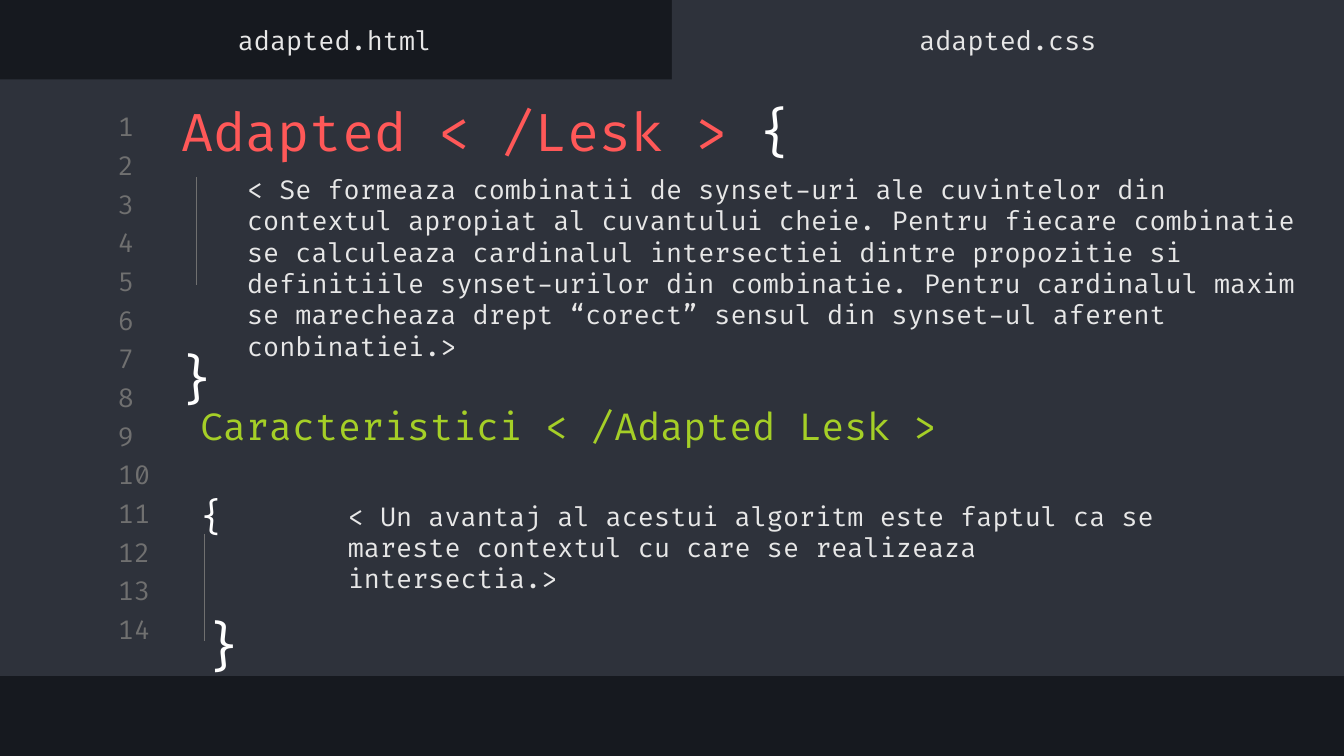
from dataclasses import dataclass

from lxml import etree
from pptx import Presentation
from pptx.dml.color import RGBColor
from pptx.enum.shapes import MSO_CONNECTOR, MSO_SHAPE
from pptx.enum.text import MSO_ANCHOR, MSO_AUTO_SIZE, PP_ALIGN
from pptx.oxml.ns import qn
from pptx.util import Inches, Pt

RECT, STRAIGHT = MSO_SHAPE.RECTANGLE, MSO_CONNECTOR.STRAIGHT
TOP, MIDDLE = MSO_ANCHOR.TOP, MSO_ANCHOR.MIDDLE
LEFT, CENTER = PP_ALIGN.LEFT, PP_ALIGN.CENTER
NO_AUTOFIT = MSO_AUTO_SIZE.NONE


@dataclass(frozen=True)
class Theme:
    font: str = "Fira Code"
    back: str = "16191F"
    panel: str = "2E323B"
    muted: str = "707070"
    text: str = "E7E7E7"
    white: str = "FFFFFF"
    red: str = "FF5858"
    green: str = "A5CF27"
    body: int = 14
    heading: int = 20
    title: int = 28


T = Theme()


def rgb(value):
    return RGBColor.from_string(value)


def write(sp, paragraphs, size=T.body, anchor=MIDDLE, align=LEFT, gap=0):
    """Fill a shape with paragraphs, each a list of (text, colour) runs."""
    tf = sp.text_frame
    tf.word_wrap = True
    tf.auto_size = NO_AUTOFIT
    tf.vertical_anchor = anchor
    tf.margin_left = tf.margin_right = tf.margin_top = tf.margin_bottom = Inches(0.1)
    for i, runs in enumerate(paragraphs):
        p = tf.add_paragraph() if i else tf.paragraphs[0]
        p.alignment = align
        p.space_before = Pt(gap if i else 0)
        for text, color in runs:
            r = p.add_run()
            r.text = text
            r.font.name = T.font
            r.font.size = Pt(size)
            r.font.color.rgb = rgb(color)


prs = Presentation()
prs.slide_width, prs.slide_height = Inches(10), Inches(10 * 9 / 16)
s = prs.slides.add_slide(prs.slide_layouts[5])
s.background.fill.solid()
s.background.fill.fore_color.rgb = rgb(T.back)

# Editor window and active tab
for box in [(0, 0.59, 10, 4.44), (5, 0, 5, 0.65)]:
    sp = s.shapes.add_shape(RECT, *map(Inches, box))
    sp.shadow.inherit = False
    sp.fill.solid()
    sp.fill.fore_color.rgb = rgb(T.panel)
    sp.line.fill.background()

# Line numbers
line_count = 14
first_top, last_top = 0.82, 4.56
pitch = (last_top - first_top) / (line_count - 1)
for i in range(line_count):
    sp = s.shapes.add_textbox(Inches(0.78), Inches(first_top + i * pitch),
                              Inches(0.47), Inches(0.24))
    write(sp, [[(str(i + 1), T.muted)]])

# Descriptions
descriptions = [
    ((1.74, 1.56, 8.04, 0.86),
     "< Se formeaza combinatii de synset-uri ale cuvintelor din contextul apropiat "
     "al cuvantului cheie. Pentru fiecare combinatie se calculeaza cardinalul "
     "intersectiei dintre propozitie si definitiile synset-urilor din combinatie. "
     "Pentru cardinalul maxim se marecheaza drept “corect” sensul din synset-ul "
     "aferent conbinatiei.>"),
    ((2.49, 3.64, 6.45, 0.86),
     "< Un avantaj al acestui algoritm este faptul ca se mareste contextul cu care "
     "se realizeaza intersectia.>"),
]
for box, text in descriptions:
    write(s.shapes.add_textbox(*map(Inches, box)), [[(text, T.text)]])

# Section heading, with its opening brace two lines below
sp = s.shapes.add_textbox(Inches(1.39), Inches(3.21), Inches(8.04), Inches(0.58))
write(sp, [[("Caracteristici < /Adapted Lesk >", T.green)], [("{", T.white)]],
      size=T.heading, gap=24)

# Title, brought in front of the panels
title = s.shapes.title
title.left, title.top = Inches(1.25), Inches(0.68)
title.width, title.height = Inches(6.39), Inches(0.58)
write(title, [[("Adapted < /Lesk > ", T.red), ("{", T.white)]], size=T.title)
title.element.getparent().append(title.element)

# Tab names
for left, name in [(-0.01, "adapted.html"), (5, "adapted.css")]:
    sp = s.shapes.add_textbox(Inches(left), Inches(0.1), Inches(5), Inches(0.39))
    write(sp, [[(name, T.text)]], align=CENTER)

# Indent guides with closing braces
for guide_x, guide_top, brace_left, brace_top in [(1.52, 3.97, 1.39, 4.46),
                                                  (1.46, 1.32, 1.19, 2.48)]:
    block = s.shapes.add_group_shape()
    guide = block.shapes.add_connector(STRAIGHT, Inches(guide_x), Inches(guide_top),
                                       Inches(guide_x), Inches(guide_top + 0.8))
    guide.line.color.rgb = rgb(T.muted)
    guide.line.width = Pt(0.75)
    etree.SubElement(guide.element.spPr, qn("a:effectLst"))
    brace = block.shapes.add_textbox(Inches(brace_left), Inches(brace_top),
                                     Inches(0.55), Inches(0.67))
    write(brace, [[("}", T.white)]], size=T.title, anchor=TOP, align=CENTER)

prs.save("out.pptx")
